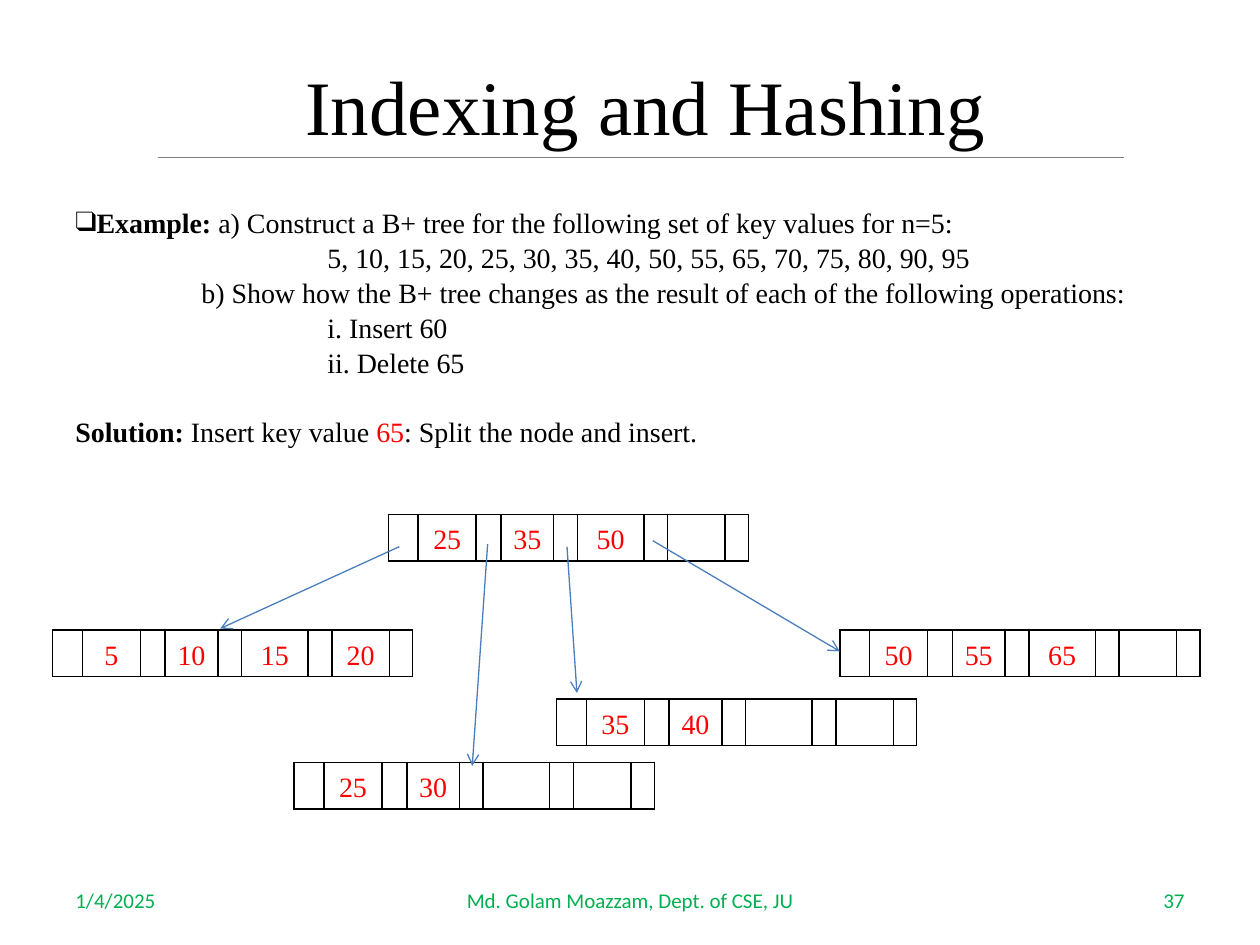
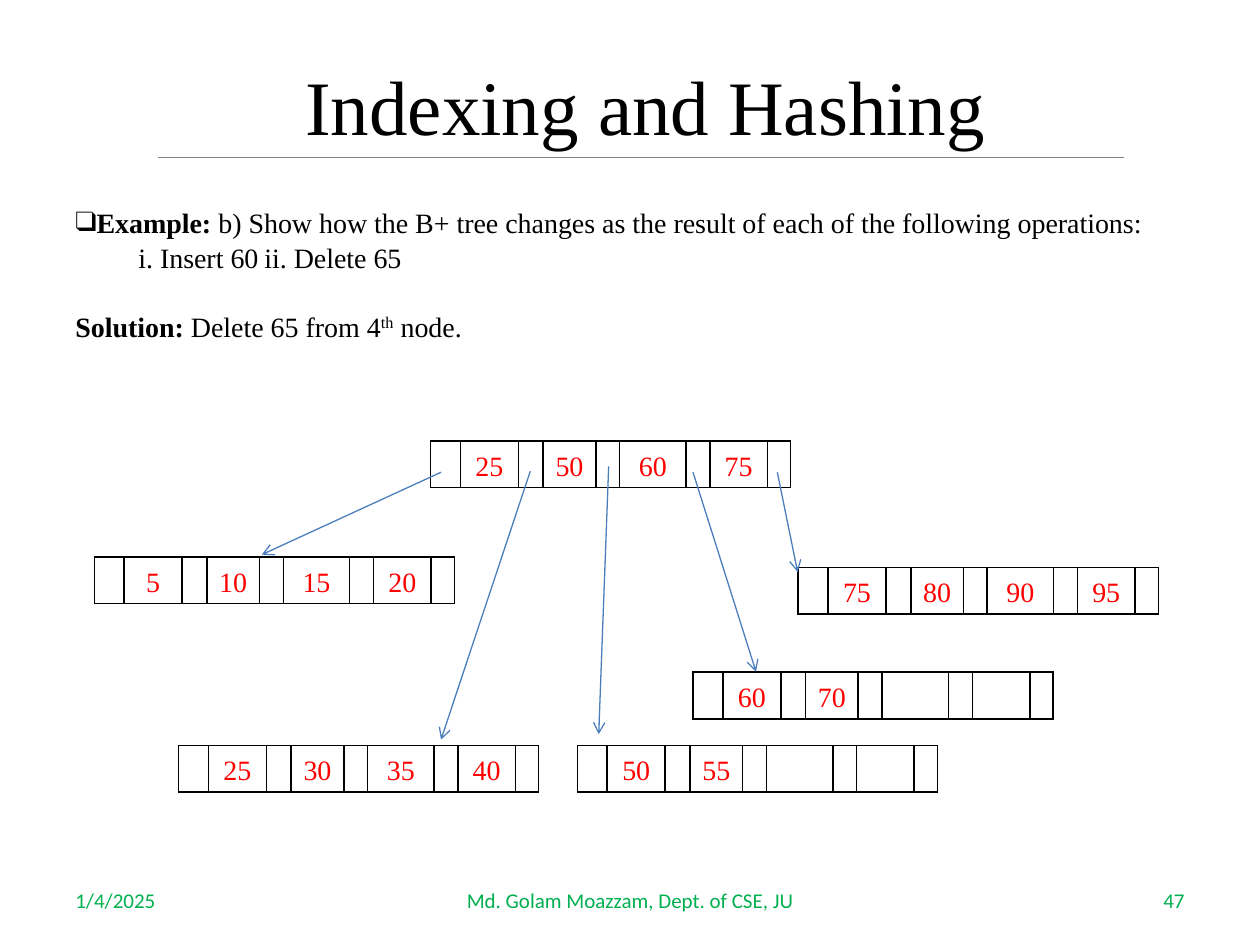
from dataclasses import dataclass

from lxml import etree
from pptx import Presentation, util as u
from pptx.dml.color import RGBColor
from pptx.enum import shapes, text
from pptx.oxml import ns

COLORS = {
    "ink": "000000",
    "key": "FF0000",
    "footer": "00B050",
    "arrow": "4B7EBC",
    "rule": "7F7F7F",
}
SERIF, SANS = "Times New Roman", "Calibri"
COLUMNS = (0.6, 1.17, 0.5, 1.06, 0.48, 1.34, 0.48, 1.16, 0.47)
ROW_HEIGHT = 0.94
LINE_GAP, BLOCK_GAP = 0.85, 20.1
LEFT, CENTER, RIGHT = text.PP_ALIGN.LEFT, text.PP_ALIGN.CENTER, text.PP_ALIGN.RIGHT


@dataclass(frozen=True)
class Label:
    text: str
    left: float
    top: float
    width: float
    height: float
    align: text.PP_ALIGN
    size: int = 12
    font: str = SANS
    color: str = "footer"
    anchor: text.MSO_ANCHOR = text.MSO_ANCHOR.MIDDLE


@dataclass(frozen=True)
class Run:
    text: str
    bold: bool = False
    color: str = "ink"
    raised: bool = False


@dataclass(frozen=True)
class Line:
    runs: tuple[Run, ...]
    indent: float = 0
    before: float = LINE_GAP
    bullet: str = ""
    tabs: tuple[float, ...] = ()


@dataclass(frozen=True)
class Node:
    left: float
    top: float
    keys: tuple[int, ...]


@dataclass(frozen=True)
class Arrow:
    x1: float
    y1: float
    x2: float
    y2: float


@dataclass(frozen=True)
class TreeSlide:
    number: int
    lines: tuple[Line, ...]
    nodes: tuple[Node, ...]
    arrows: tuple[Arrow, ...]


TITLE = Label("Indexing and Hashing", 3.39, 0.97, 19.25, 2.2, CENTER,
              44, SERIF, "ink", text.MSO_ANCHOR.BOTTOM)
DATE = Label("1/4/2025", 1.27, 17.65, 5.92, 1.01, LEFT)
AUTHOR = Label("Md. Golam Moazzam, Dept. of CSE, JU", 8.68, 17.65, 8.05, 1.01, CENTER)

SLIDES = (
    TreeSlide(
        37,
        (
            Line((Run("Example:", bold=True),
                  Run(" a) Construct a B+ tree for the following set of key values for n=5:")),
                 before=0, bullet="❑"),
            Line((Run("5, 10, 15, 20, 25, 30, 35, 40, 50, 55, 65, 70, 75, 80, 90, 95"),), 5.08),
            Line((Run("b) Show how the B+ tree changes as the result of each of the "
                      "following operations:"),), 2.54),
            Line((Run("i. Insert 60"),), 5.08),
            Line((Run("ii. Delete 65"),), 5.08),
            Line((Run("Solution: ", bold=True), Run("Insert key value "),
                  Run("65", color="key"), Run(": Split the node and insert.")),
                 before=BLOCK_GAP),
        ),
        (
            Node(7.83, 10.37, (25, 35, 50)),
            Node(1.06, 12.7, (5, 10, 15, 20)),
            Node(5.93, 15.37, (25, 30)),
            Node(11.22, 14.09, (35, 40)),
            Node(16.93, 12.7, (50, 55, 65)),
        ),
        (
            Arrow(8.05, 11.02, 4.44, 12.67),
            Arrow(9.83, 10.97, 9.52, 15.44),
            Arrow(11.43, 11.02, 11.63, 13.97),
            Arrow(13.16, 10.9, 16.93, 13.13),
        ),
    ),
    TreeSlide(
        47,
        (
            Line((Run("Example: ", bold=True),
                  Run("b) Show how the B+ tree changes as the result of each of the "
                      "following operations:")),
                 before=0, bullet="❑"),
            Line((Run("\ti. Insert 60\tii. Delete 65"),), tabs=(5.08, 9.04)),
            Line((Run("Solution: ", bold=True), Run("Delete 65 from 4"),
                  Run("th", raised=True), Run(" node.")), before=BLOCK_GAP),
        ),
        (
            Node(8.68, 8.89, (25, 50, 60, 75)),
            Node(1.9, 11.23, (5, 10, 15, 20)),
            Node(3.6, 15.03, (25, 30, 35, 40)),
            Node(11.64, 15.03, (50, 55)),
            Node(13.97, 13.55, (60, 70)),
            Node(16.09, 11.44, (75, 80, 90, 95)),
        ),
        (
            Arrow(8.89, 9.52, 5.28, 11.18),
            Arrow(10.69, 9.5, 8.89, 14.91),
            Arrow(12.27, 9.4, 12.07, 14.8),
            Arrow(13.97, 9.52, 15.24, 13.54),
            Arrow(15.67, 9.52, 16.08, 11.53),
        ),
    ),
)


def rgb(name: str) -> RGBColor:
    return RGBColor.from_string(COLORS[name])


def add_xml(parent, tag: str, **attrs: str):
    return etree.SubElement(parent, ns.qn(tag), attrs)


def set_font(p, name: str, size: int, color: str) -> None:
    p.font.name = name
    p.font.size = u.Pt(size)
    p.font.color.rgb = rgb(color)


def add_frame(s, left: float, top: float, width: float, height: float):
    tf = s.shapes.add_textbox(u.Cm(left), u.Cm(top), u.Cm(width), u.Cm(height)).text_frame
    tf.word_wrap = True
    return tf


def add_label(s, label: Label) -> None:
    tf = add_frame(s, label.left, label.top, label.width, label.height)
    tf.vertical_anchor = label.anchor
    p = tf.paragraphs[0]
    p.text = label.text
    p.alignment = label.align
    set_font(p, label.font, label.size, label.color)


def add_body(s, lines: tuple[Line, ...]) -> None:
    tf = add_frame(s, 1.27, 4.02, 22.86, 13.33)
    for i, line in enumerate(lines):
        p = tf.add_paragraph() if i else tf.paragraphs[0]
        pPr = p._p.get_or_add_pPr()
        pPr.set("marL", str(u.Cm(line.indent)))
        pPr.set("indent", "0")
        if line.bullet:
            add_xml(pPr, "a:buFont", typeface=SERIF)
            add_xml(pPr, "a:buChar", char=line.bullet)
        if line.tabs:
            tabs = add_xml(pPr, "a:tabLst")
            for stop in line.tabs:
                add_xml(tabs, "a:tab", pos=str(u.Cm(stop)), algn="l")
        p.space_before = u.Pt(line.before)
        set_font(p, SERIF, 16, "ink")
        for run in line.runs:
            r = p.add_run()
            r.text = run.text
            if run.bold:
                r.font.bold = True
            if run.color != "ink":
                r.font.color.rgb = rgb(run.color)
            if run.raised:
                r.font._element.set("baseline", "30000")


def add_line(s, line: Arrow, color: str, head: bool = True) -> None:
    c = s.shapes.add_connector(shapes.MSO_CONNECTOR.STRAIGHT, u.Cm(line.x1),
                               u.Cm(line.y1), u.Cm(line.x2), u.Cm(line.y2))
    c.line.color.rgb = rgb(color)
    c.line.width = u.Pt(0.75)
    if head:
        add_xml(c.line._get_or_add_ln(), "a:tailEnd", type="arrow")
    add_xml(c._element.spPr, "a:effectLst")


def style_cell(cell) -> None:
    cell.margin_left = cell.margin_right = u.Cm(0.17)
    cell.margin_top = cell.margin_bottom = 0
    cell.vertical_anchor = text.MSO_ANCHOR.MIDDLE
    tcPr = cell._tc.get_or_add_tcPr()
    for side in ("L", "R", "T", "B"):
        ln = add_xml(tcPr, f"a:ln{side}", w=str(u.Pt(1)))
        fill = add_xml(ln, "a:solidFill")
        add_xml(fill, "a:srgbClr", val=COLORS["ink"])
    cell.fill.background()


def add_node(s, node: Node) -> None:
    frame = s.shapes.add_table(1, len(COLUMNS), u.Cm(node.left), u.Cm(node.top),
                               u.Cm(sum(COLUMNS)), u.Cm(ROW_HEIGHT))
    table = frame.table
    table.first_row = table.horz_banding = False
    table.rows[0].height = u.Cm(ROW_HEIGHT)
    for i, width in enumerate(COLUMNS):
        table.columns[i].width = u.Cm(width)
        style_cell(table.cell(0, i))
    for i, key in enumerate(node.keys):
        p = table.cell(0, 2 * i + 1).text_frame.paragraphs[0]
        p.text = str(key)
        p.alignment = CENTER
        p.line_spacing = 1.15
        set_font(p, SERIF, 16, "key")


def add_tree_slide(prs, tree: TreeSlide) -> None:
    s = prs.slides.add_slide(prs.slide_layouts[6])
    number = Label(str(tree.number), 18.21, 17.65, 5.92, 1.01, RIGHT)
    for label in (TITLE, DATE, AUTHOR, number):
        add_label(s, label)
    add_line(s, Arrow(3.18, 3.17, 22.65, 3.17), "rule", head=False)
    add_body(s, tree.lines)
    for node in tree.nodes:
        add_node(s, node)
    for arrow in tree.arrows:
        add_line(s, arrow, "arrow")


def main() -> None:
    prs = Presentation()
    prs.slide_width, prs.slide_height = u.Cm(25.4), u.Cm(19.05)
    for tree in SLIDES:
        add_tree_slide(prs, tree)
    prs.save("out.pptx")


if __name__ == "__main__":
    main()
